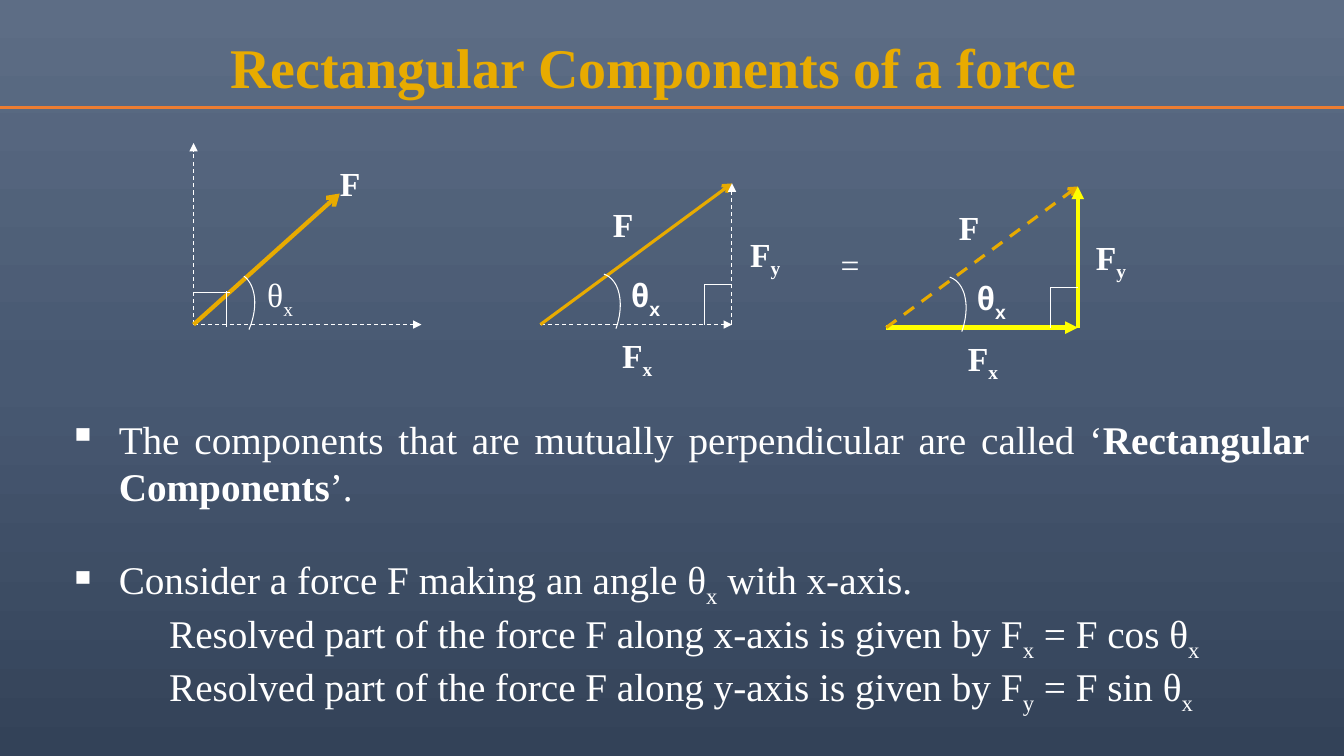
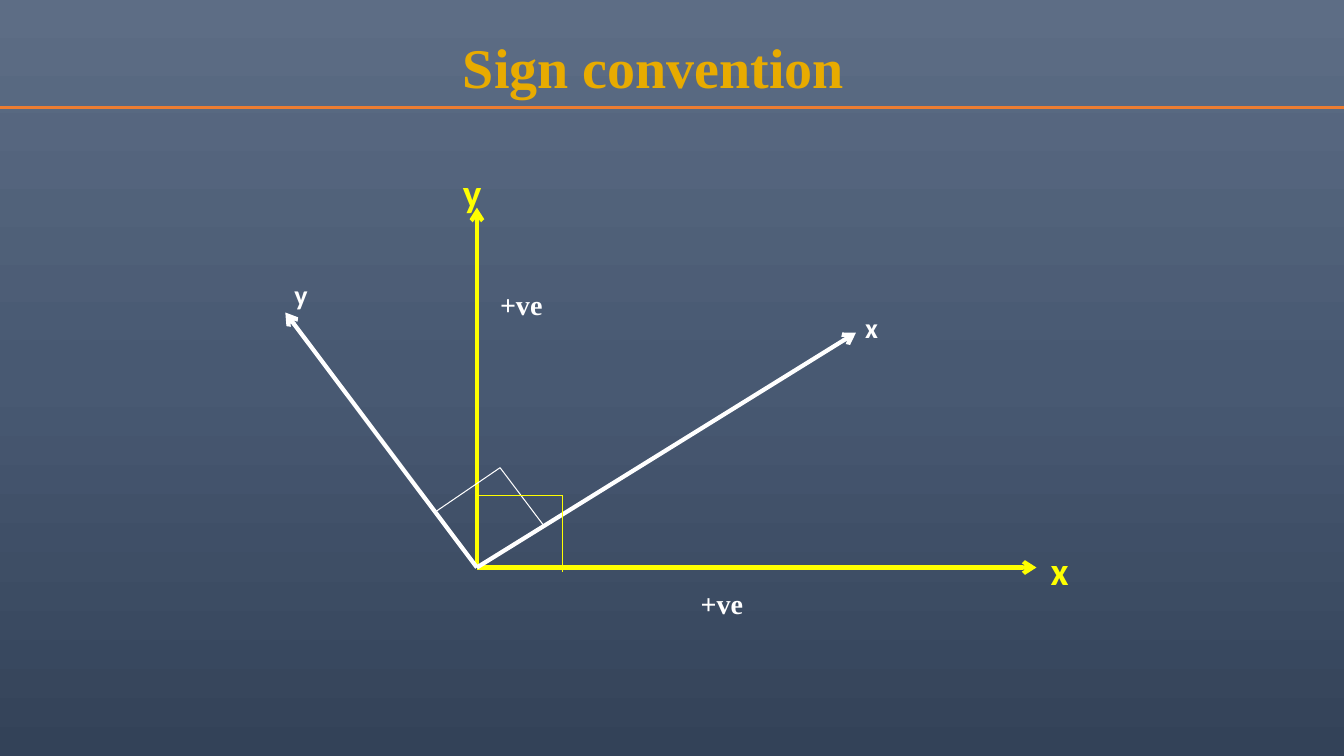
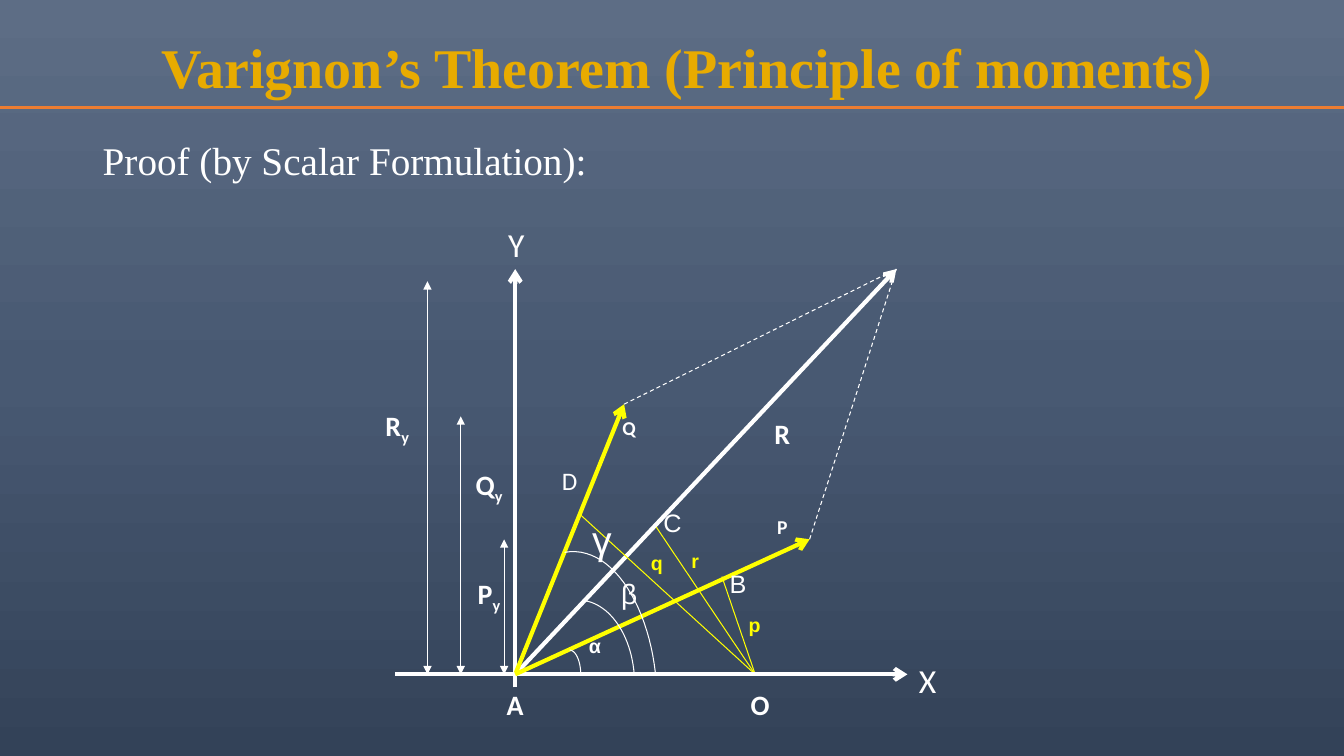
from copy import deepcopy

from lxml import etree
from pptx import Presentation
from pptx import util as u
from pptx.dml.color import RGBColor
from pptx.enum import dml, shapes, text
from pptx.oxml.ns import qn

COLS, ROWS = 13.33, 7.5          # one grid cell is one inch square
CELL = u.Inches(1)
TITLE_ONLY = 5

WHITE = RGBColor(0xFF, 0xFF, 0xFF)
YELLOW = RGBColor(0xFF, 0xFF, 0x00)
GOLD = RGBColor(0xE8, 0xAB, 0x00)
ORANGE = RGBColor(0xED, 0x7D, 0x31)
BACKGROUND = [RGBColor(0x5D, 0x6D, 0x85), RGBColor(0x48, 0x59, 0x72),
              RGBColor(0x33, 0x42, 0x58)]

SERIF, SANS, ARIAL = "Times New Roman", "Calibri", "Arial"
LEFT, CENTER, JUSTIFY = (text.PP_ALIGN.LEFT, text.PP_ALIGN.CENTER,
                         text.PP_ALIGN.JUSTIFY)
THIN, MEDIUM, THICK = 0.75, 2.25, 3


def cells(*lengths):
    """Turn grid lengths into EMU."""
    return [round(n * CELL) for n in lengths]


def split_runs(marked):
    """Yield (text, bold, subscript); *...* is bold, _ lowers one character."""
    for i, part in enumerate(marked.split("*")):
        first, *rest = part.split("_")
        yield first, i % 2 == 1, False
        for piece in rest:
            yield piece[0], i % 2 == 1, True
            yield piece[1:], i % 2 == 1, False


def write(p, marked, size=24, font=SERIF, color=WHITE, bold=False, align=LEFT,
          before=0, spacing=None):
    """Fill a paragraph with formatted runs."""
    p.alignment, p.space_before, p.line_spacing = align, u.Pt(before), spacing
    for words, strong, lowered in split_runs(marked):
        if not words:
            continue
        r = p.add_run()
        r.text = words
        r.font.size, r.font.name = u.Pt(size), font
        r.font.bold = bold or strong
        r.font.color.rgb = color
        if lowered:
            r.font._element.set("baseline", "-25000")


def set_frame(tf, inset=0):
    """Give a text frame even insets, wrapping and a top anchor."""
    tf.word_wrap = True
    tf.auto_size = text.MSO_AUTO_SIZE.NONE
    tf.vertical_anchor = text.MSO_ANCHOR.TOP
    tf.margin_left = tf.margin_right = u.Inches(inset)
    tf.margin_top = tf.margin_bottom = u.Inches(inset / 2)


def label(s, marked, x, y, width=0.54, size=24, **style):
    """Place a short one-line label."""
    box = s.shapes.add_textbox(*cells(x, y, width, size * 0.017))
    set_frame(box.text_frame)
    write(box.text_frame.paragraphs[0], marked, size=size, **style)


def text_area(s, x, y, width, height):
    """Add a text box for running text and return its frame."""
    tf = s.shapes.add_textbox(*cells(x, y, width, height)).text_frame
    set_frame(tf, 0.1)
    return tf


def indent(p, left, first=0, bullet=None):
    """Set a paragraph's indents and optional bullet character."""
    pPr = p._p.get_or_add_pPr()
    left, first = cells(left, first)
    pPr.set("marL", str(left))
    pPr.set("indent", str(first))
    if bullet:
        etree.SubElement(pPr, qn("a:buChar")).set("char", bullet)


def line(s, start, end, color=WHITE, width=THIN, dashed=False, head=None,
         tail=None):
    """Draw a straight line with optional arrowheads."""
    sp = s.shapes.add_connector(shapes.MSO_CONNECTOR.STRAIGHT,
                                *cells(*start, *end))
    sp.line.color.rgb, sp.line.width = color, u.Pt(width)
    if dashed:
        sp.line.dash_style = dml.MSO_LINE.DASH
    ln = sp.line._get_or_add_ln()
    for tag, kind in (("a:headEnd", head), ("a:tailEnd", tail)):
        if kind:
            etree.SubElement(ln, qn(tag)).set("type", kind)
    etree.SubElement(sp.element.spPr, qn("a:effectLst"))
    return sp


def corner(s, *points, color=WHITE):
    """Join points with thin lines, as a right-angle mark."""
    for start, end in zip(points, points[1:]):
        line(s, start, end, color)


def angle_arc(s, *controls, steps=24):
    """Draw a thin cubic curve through four control points."""
    points = []
    for i in range(steps + 1):
        t = i / steps
        weights = ((1 - t) ** 3, 3 * t * (1 - t) ** 2, 3 * t * t * (1 - t), t ** 3)
        points.append(cells(*(sum(w * c for w, c in zip(weights, axis))
                              for axis in zip(*controls))))
    builder = s.shapes.build_freeform(*points[0])
    builder.add_line_segments(points[1:], close=False)
    sp = builder.convert_to_shape()
    sp.shadow.inherit = False
    sp.fill.background()
    sp.line.color.rgb, sp.line.width = WHITE, u.Pt(THIN)


def style_master(prs):
    """Give the master its vertical three-colour gradient."""
    fill = prs.slide_master.background.fill
    fill.gradient()
    fill.gradient_angle = 270
    last = next(prs.slide_master.element.iter(qn("a:gsLst")))[-1]
    last.addprevious(deepcopy(last))
    for i, (stop, color) in enumerate(zip(fill.gradient_stops, BACKGROUND)):
        stop.position, stop.color.rgb = i / 2, color


def add_rule(s):
    """Draw the rule below the title and hand it to the layout."""
    rule = line(s, (0, 1.07), (COLS, 1.07), ORANGE, MEDIUM)
    s.slide_layout.shapes.element.append(rule.element)


def new_slide(prs, title, center=6.48):
    """Add a slide whose title is centred on the given column."""
    s = prs.slides.add_slide(prs.slide_layouts[TITLE_ONLY])
    width = 10.6
    sp = s.shapes.title
    sp.left, sp.top, sp.width, sp.height = cells(center - width / 2, 0.32,
                                                 width, 0.67)
    set_frame(sp.text_frame)
    write(sp.text_frame.paragraphs[0], title, size=40, color=GOLD, bold=True,
          align=CENTER)
    return s


def force_triangle(s, x, y, force_dashed, side):
    """Draw F with its components from origin (x, y)."""
    def at(dx, dy):
        return x + dx, y + dy

    tip, foot = at(1.9, -1.4), at(1.9, 0)
    line(s, (x, y), foot, tail="triangle", **side)
    line(s, (x, y), tip, GOLD, MEDIUM, force_dashed, tail="arrow")
    line(s, foot, tip, tail="triangle", **side)
    angle_arc(s, at(0.63, -0.5), at(0.78, -0.45), at(0.84, -0.22), at(0.75, 0.04))
    corner(s, at(1.9, -0.4), at(1.63, -0.4), at(1.63, 0))
    label(s, "F", *at(0.72, -1.2), bold=True)
    label(s, "F_x", *at(0.81, 0.1), bold=True)
    label(s, "F_y", *at(2.08, -0.9), bold=True)
    label(s, "θ_x", *at(0.9, -0.5), font=ARIAL, bold=True)


def components_slide(prs):
    """Build the slide on rectangular components."""
    s = new_slide(prs, "Rectangular Components of a force")
    add_rule(s)
    origin = (1.92, 3.22)
    for end in ((4.18, 3.22), (1.92, 1.42)):
        line(s, origin, end, dashed=True, tail="triangle")
    line(s, origin, (3.37, 1.92), GOLD, THICK, tail="arrow")
    line(s, (1.92, 2.9), (2.28, 2.9))
    line(s, (2.25, 2.89), (2.25, 3.24))
    angle_arc(s, (2.42, 2.74), (2.53, 2.82), (2.57, 3.03), (2.47, 3.27))
    label(s, "θ_x", 2.65, 2.72)
    label(s, "F", 3.37, 1.62, bold=True)

    force_triangle(s, 5.36, 3.22, False, {"dashed": True})
    label(s, "=", 8.07, 2.42, 0.72, align=CENTER)
    force_triangle(s, 8.79, 3.25, True, {"color": YELLOW, "width": THICK})

    tf = text_area(s, 0.58, 4.07, 12.5, 2.93)
    points = [
        ("The components that are mutually perpendicular are called "
         "‘*Rectangular Components*’.", True, 0),
        ("Consider a force F making an angle θ_x with x-axis.", True, 33),
        ("Resolved part of the force F along x-axis is given by "
         "F_x = F cos θ_x", False, 0),
        ("Resolved part of the force F along y-axis is given by "
         "F_y = F sin θ_x", False, 0),
    ]
    for i, (words, bulleted, before) in enumerate(points):
        p = tf.add_paragraph() if i else tf.paragraphs[0]
        write(p, words, size=28, align=JUSTIFY, before=before)
        if bulleted:
            indent(p, 0.5, -0.5, "▪")
        else:
            p.level = 1
            indent(p, 1)


def sign_slide(prs):
    """Build the slide on the sign convention."""
    s = new_slide(prs, "Sign convention")
    origin = (4.73, 5.63)
    for end, color in (((10.28, 5.63), YELLOW), ((4.73, 2.06), YELLOW),
                       ((8.49, 3.3), WHITE), ((2.83, 3.1), WHITE)):
        line(s, origin, end, color, THICK, tail="arrow")
    corner(s, (4.33, 5.07), (4.96, 4.64), (5.39, 5.21))
    corner(s, (4.75, 4.92), (5.58, 4.92), (5.58, 5.67), color=YELLOW)
    for x, y in ((4.96, 2.85), (6.95, 5.82)):
        label(s, "+ve", x, y, 1.33, size=20, bold=True)
    for name, x, y, size, color in (
            ("x", 10.42, 5.42, 28, YELLOW), ("y", 4.59, 1.67, 28, YELLOW),
            ("x", 8.58, 3.08, 20, WHITE), ("y", 2.92, 2.75, 20, WHITE)):
        label(s, name, x, y, 0.44, size=size, font=SANS, color=color, bold=True)


def varignon_slide(prs):
    """Build the slide with the proof of Varignon's theorem."""
    s = new_slide(prs, "Varignon’s Theorem (Principle of moments)", 6.81)
    tf = text_area(s, 0.92, 1.36, 10.15, 0.6)
    write(tf.paragraphs[0], "Proof (by Scalar Formulation):", size=28,
          before=10, spacing=0.9)

    base = 6.69
    a, o = (5.11, base), (7.49, base)
    p_tip, q_tip, r_tip = (8.03, 5.35), (6.19, 4.01), (8.89, 2.67)
    line(s, (5.11, 6.82), (5.11, 2.67), width=THICK, tail="arrow")
    for tip in (q_tip, p_tip):
        line(s, tip, r_tip, dashed=True)
    line(s, a, r_tip, width=THICK, tail="arrow")
    for x, top in ((4.24, 2.79), (4.57, 4.13), (5, 5.35)):
        line(s, (x, base), (x, top), head="triangle", tail="triangle")
    line(s, a, q_tip, YELLOW, THICK, tail="arrow")
    for foot in ((7.16, 5.72), (6.51, 5.23), (5.76, 5.11)):
        line(s, o, foot, YELLOW)
    line(s, (3.92, base), (9, base), width=THICK, tail="arrow")
    line(s, a, p_tip, YELLOW, THICK, tail="arrow")

    angle_arc(s, (5.65, 6.45), (5.71, 6.45), (5.76, 6.56), (5.76, base))
    angle_arc(s, (5.8, 5.96), (6.05, 6), (6.26, 6.3), (6.29, base))
    angle_arc(s, (5.6, 5.48), (6.05, 5.4), (6.42, 5.97), (6.5, 6.67))

    groups = [
        (dict(size=24, font=SANS, width=0.24),
         [("Y", 5, 2.22), ("X", 9.08, 6.55)]),
        (dict(size=20, font=SANS, bold=True),
         [("R_y", 3.67, 4.05), ("Q_y", 4.58, 4.64), ("P_y", 4.58, 5.72),
          ("R", 7.49, 4.13), ("A", 4.84, 6.82), ("O", 7.27, 6.82)]),
        (dict(size=14, font=SANS, bold=True),
         [("Q", 5.97, 4.13), ("P", 7.49, 5.11)]),
        (dict(size=14, font=ARIAL, bold=True, color=YELLOW, width=0.43),
         [("p", 7.27, 6.08), ("q", 6.3, 5.47), ("r", 6.68, 5.45)]),
        (dict(size=18, font=ARIAL), [("B", 7.05, 5.64), ("C", 6.4, 5.03)]),
        (dict(size=18, font=SANS), [("D", 5.38, 4.62)]),
        (dict(size=14, font=ARIAL, bold=True), [("α", 5.63, 6.29)]),
        (dict(size=20, font=ARIAL), [("β", 5.97, 5.72)]),
        (dict(size=28, font=ARIAL), [("γ", 5.7, 5.11)]),
    ]
    for style, names in groups:
        for name, x, y in names:
            label(s, name, x, y, align=CENTER, **style)


def main():
    """Build the three slides and save them."""
    prs = Presentation()
    prs.slide_width, prs.slide_height = cells(COLS, ROWS)
    style_master(prs)
    components_slide(prs)
    sign_slide(prs)
    varignon_slide(prs)
    prs.save("out.pptx")


main()
